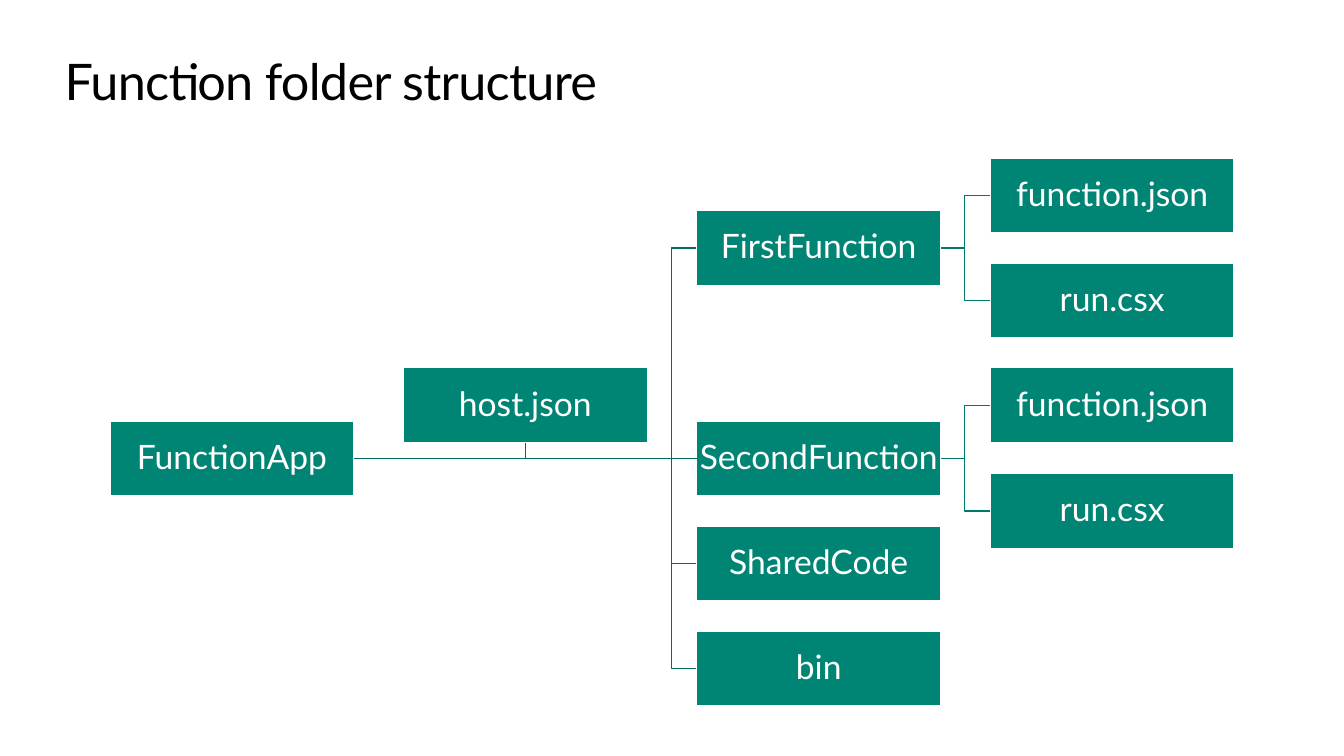
from dataclasses import dataclass
from typing import Any

from pptx import Presentation
from pptx.dml.color import RGBColor
from pptx.enum.shapes import MSO_CONNECTOR, MSO_SHAPE
from pptx.enum.text import MSO_ANCHOR, MSO_AUTO_SIZE, PP_ALIGN
from pptx.oxml.ns import qn
from pptx.util import Pt
from lxml.etree import SubElement

PX = 9144
WIDE, HIGH = 242, 74
LEFT, TOP = 109, 157
STEP = 291
BEND = 25

HUES = {
    "paper": "FFFFFF",
    "ink": "000000",
    "box": "008575",
    "trunk": "006B5E",
    "twig": "00796A",
}
TITLE = {"name": "Lato", "size": Pt(36), "bold": False}
LABEL = {"name": "Lato", "size": Pt(24)}


@dataclass(frozen=True)
class Node:
    """A folder or file; rows count in half box steps."""
    name: str
    col: int
    row: int

    @property
    def left(self) -> int:
        return LEFT + self.col * STEP

    @property
    def top(self) -> int:
        return TOP + self.row * 261 // 5

    @property
    def right(self) -> int:
        return self.left + WIDE

    @property
    def mid(self) -> int:
        return self.top + HIGH // 2


APP = Node("FunctionApp", 0, 5)
HOST = Node("host.json", 1, 4)
FIRST = Node("FirstFunction", 2, 1)
SECOND = Node("SecondFunction", 2, 5)
SHARED = Node("SharedCode", 2, 7)
BIN = Node("bin", 2, 9)
TREE = {
    APP: [FIRST, SHARED, BIN],
    FIRST: [Node("function.json", 3, 0), Node("run.csx", 3, 2)],
    SECOND: [Node("function.json", 3, 4), Node("run.csx", 3, 6)],
}


def color(key: str) -> RGBColor:
    return RGBColor.from_string(HUES[key])


def format_font(font: Any, values: dict[str, Any], hue: str) -> None:
    for key, value in values.items():
        setattr(font, key, value)
    font.color.rgb = color(hue)


def format_line(line: Any, hue: str) -> None:
    line.color.rgb = color(hue)
    line.width = Pt(0.85)


def set_place(shape: Any, *place: int) -> None:
    for key, value in zip(("left", "top", "width", "height"), place):
        setattr(shape, key, value * PX)


def add_title(slide: Any, text: str) -> None:
    title = slide.shapes.title
    set_place(title, 64, 50, 1205, 61)
    frame = title.text_frame
    layout = {"margin_left": 0, "margin_top": 0, "margin_right": 0,
              "margin_bottom": 0, "word_wrap": True,
              "vertical_anchor": MSO_ANCHOR.TOP,
              "auto_size": MSO_AUTO_SIZE.SHAPE_TO_FIT_TEXT}
    for key, value in layout.items():
        setattr(frame, key, value)
    line = frame.paragraphs[0]
    line.alignment = PP_ALIGN.LEFT
    run = line.add_run()
    run.text = text
    format_font(run.font, TITLE, "ink")
    run._r.get_or_add_rPr().set("spc", "-50")


def add_box(slide: Any, node: Node) -> Any:
    place = (node.left, node.top, WIDE, HIGH)
    box = slide.shapes.add_shape(MSO_SHAPE.RECTANGLE, *(n * PX for n in place))
    box.shadow.inherit = False
    box.fill.solid()
    box.fill.fore_color.rgb = color("box")
    format_line(box.line, "paper")
    frame = box.text_frame
    frame.word_wrap = False
    frame.vertical_anchor = MSO_ANCHOR.MIDDLE
    for side in ("left", "top", "right", "bottom"):
        setattr(frame, f"margin_{side}", 2 * PX)
    line = frame.paragraphs[0]
    line.alignment = PP_ALIGN.CENTER
    line.line_spacing = 0.9
    run = line.add_run()
    run.text = node.name
    format_font(run.font, LABEL, "paper")
    return box


def add_branch(slide: Any, points: list[tuple[int, int]], hue: str) -> None:
    pen = slide.shapes.build_freeform(*points[0], scale=PX)
    pen.add_line_segments(points[1:], close=False)
    branch = pen.convert_to_shape()
    branch.shadow.inherit = False
    branch.fill.background()
    format_line(branch.line, hue)


def add_trunk(slide: Any, start: Any, end: Any) -> None:
    trunk = slide.shapes.add_connector(MSO_CONNECTOR.STRAIGHT, 0, 0, 0, 0)
    trunk.begin_connect(start, 3)
    trunk.end_connect(end, 1)
    format_line(trunk.line, "trunk")
    SubElement(trunk._element.spPr, qn("a:effectLst"))


def main() -> None:
    deck = Presentation()
    deck.slide_width, deck.slide_height = 1333 * PX, 750 * PX
    slide = deck.slides.add_slide(deck.slide_layouts[5])
    add_title(slide, "Function folder structure")

    stem = HOST.left + WIDE // 2
    add_branch(slide, [(APP.right, APP.mid), (stem, APP.mid),
                       (stem, HOST.top + HIGH)], "trunk")
    for parent, kids in TREE.items():
        hue = "trunk" if parent is APP else "twig"
        for kid in kids:
            turn = kid.left - BEND
            add_branch(slide, [(parent.right, parent.mid), (turn, parent.mid),
                               (turn, kid.mid), (kid.left, kid.mid)], hue)

    files = [kid for parent in (FIRST, SECOND) for kid in TREE[parent]]
    nodes = [APP, HOST, FIRST, SECOND, SHARED, BIN, *files]
    boxes = {node: add_box(slide, node) for node in nodes}
    add_trunk(slide, boxes[APP], boxes[SECOND])
    deck.save("out.pptx")


if __name__ == "__main__":
    main()
